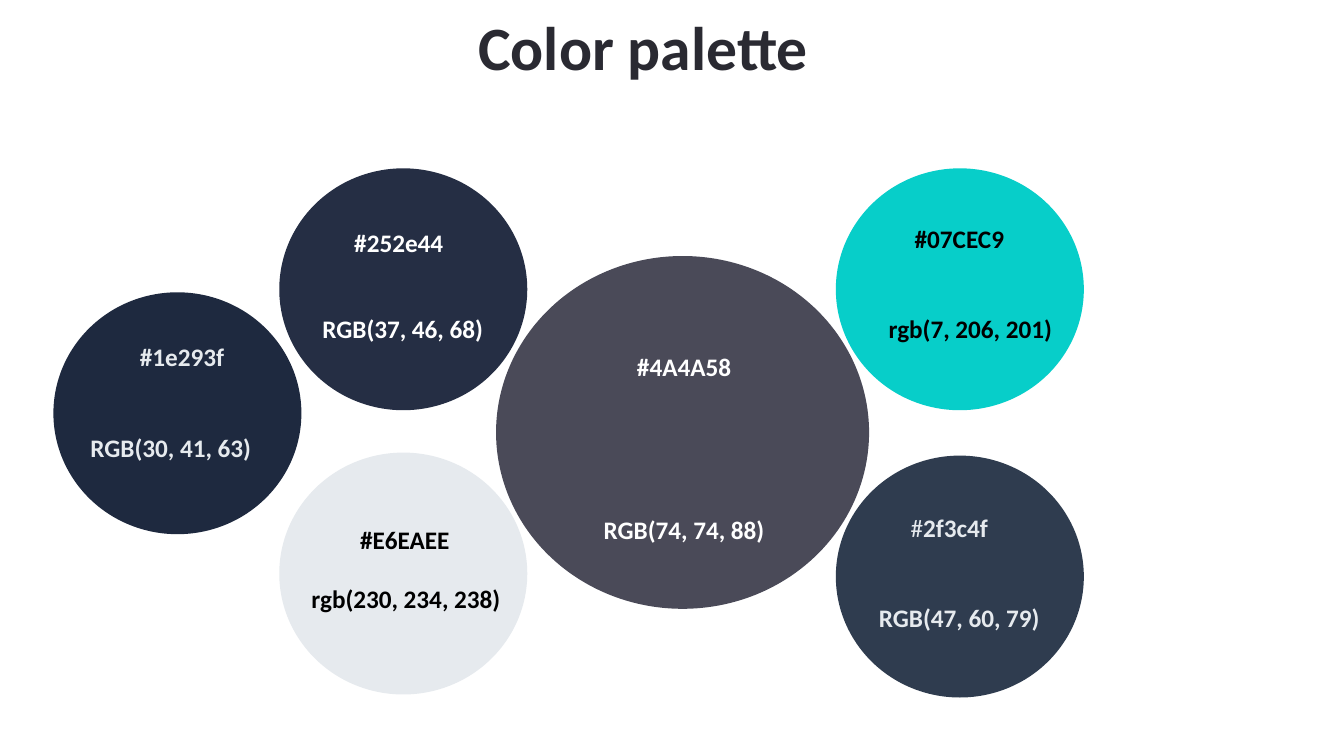
from dataclasses import dataclass

from pptx import Presentation
from pptx.dml.color import RGBColor
from pptx.enum.shapes import MSO_SHAPE
from pptx.enum.text import MSO_ANCHOR, MSO_AUTO_SIZE, PP_ALIGN
from pptx.util import Pt

OVAL = MSO_SHAPE.OVAL
MIDDLE, TOP = MSO_ANCHOR.MIDDLE, MSO_ANCHOR.TOP
CENTER, LEFT = PP_ALIGN.CENTER, PP_ALIGN.LEFT
FIT_SHAPE = MSO_AUTO_SIZE.SHAPE_TO_FIT_TEXT
EMU_PER_PX = 9144
LABEL_W, LABEL_H = 225, 40


@dataclass(frozen=True)
class Theme:
    """Colours, font and type sizes of the slide."""
    font: str = "Calibri"
    title_size: int = 44
    label_size: int = 18
    title: str = "2A2A32"
    black: str = "000000"
    white: str = "FFFFFF"
    mist: str = "E6EAEE"


@dataclass(frozen=True)
class Swatch:
    """One palette colour with its circle box and label offsets."""
    box: tuple
    hex_code: str
    rgb_code: str
    ink: str
    hex_at: tuple
    rgb_at: tuple
    rgb_align: PP_ALIGN = CENTER
    light_hash: bool = False


THEME = Theme()
SMALL = (246, 240)
SWATCHES = (
    Swatch((277, 449, *SMALL), "#E6EAEE", "rgb(230, 234, 238)", THEME.black,
           (12, 66), (22, 125), rgb_align=LEFT),
    Swatch((492, 254, 370, 350), "#4A4A58", "RGB(74, 74, 88)", THEME.white,
           (74, 90), (74, 251)),
    Swatch((829, 452, *SMALL), "#2f3c4f", "RGB(47, 60, 79)", THEME.mist,
           (0, 51), (10, 141), light_hash=True),
    Swatch((829, 167, *SMALL), "#07CEC9", "rgb(7, 206, 201)", THEME.black,
           (10, 50), (21, 139)),
    Swatch((277, 167, *SMALL), "#252e44", "RGB(37, 46, 68)", THEME.white,
           (6, 54), (10, 139)),
    Swatch((53, 290, *SMALL), "#1e293f", "RGB(30, 41, 63)", THEME.mist,
           (15, 44), (4, 134)),
)


def px(*lengths):
    """Turn whole px into EMU."""
    return [n * EMU_PER_PX for n in lengths]


def add_text(s, box, runs, size, color, align=CENTER, anchor=TOP):
    """Place one line of text, bold unless a run says otherwise."""
    tf = s.shapes.add_textbox(*px(*box)).text_frame
    tf.word_wrap = True
    tf.vertical_anchor = anchor
    p = tf.paragraphs[0]
    p.alignment = align
    p.font.name = THEME.font
    p.font.size = Pt(size)
    p.font.color.rgb = RGBColor.from_string(color)
    for text, bold in runs:
        r = p.add_run()
        r.text = text
        r.font.bold = bold
    return tf


def add_title(s, box):
    """Place the slide title in its box."""
    tf = add_text(s, box, [("Color palette ", True)], THEME.title_size,
                  THEME.title, anchor=MIDDLE)
    tf.paragraphs[0].line_spacing = 0.9


def add_swatch(s, swatch):
    """Draw a colour circle and its two labels."""
    left, top, _, _ = swatch.box
    sp = s.shapes.add_shape(OVAL, *px(*swatch.box))
    sp.shadow.inherit = False
    sp.fill.solid()
    sp.fill.fore_color.rgb = RGBColor.from_string(swatch.hex_code[1:].upper())
    sp.line.fill.background()
    hex_runs = [(swatch.hex_code, True)]
    if swatch.light_hash:
        hex_runs = [("#", False), (swatch.hex_code[1:], True)]
    labels = ((hex_runs, swatch.hex_at, CENTER),
              ([(swatch.rgb_code, True)], swatch.rgb_at, swatch.rgb_align))
    for runs, (dx, dy), align in labels:
        tf = add_text(s, (left + dx, top + dy, LABEL_W, LABEL_H), runs,
                      THEME.label_size, swatch.ink, align)
        tf.auto_size = FIT_SHAPE


def main():
    """Build the palette slide and save it."""
    prs = Presentation()
    prs.slide_width, prs.slide_height = px(1333, 750)
    s = prs.slides.add_slide(prs.slide_layouts[6])
    add_title(s, (70, -5, 1150, 110))
    for swatch in SWATCHES:
        add_swatch(s, swatch)
    prs.save("out.pptx")


if __name__ == "__main__":
    main()
